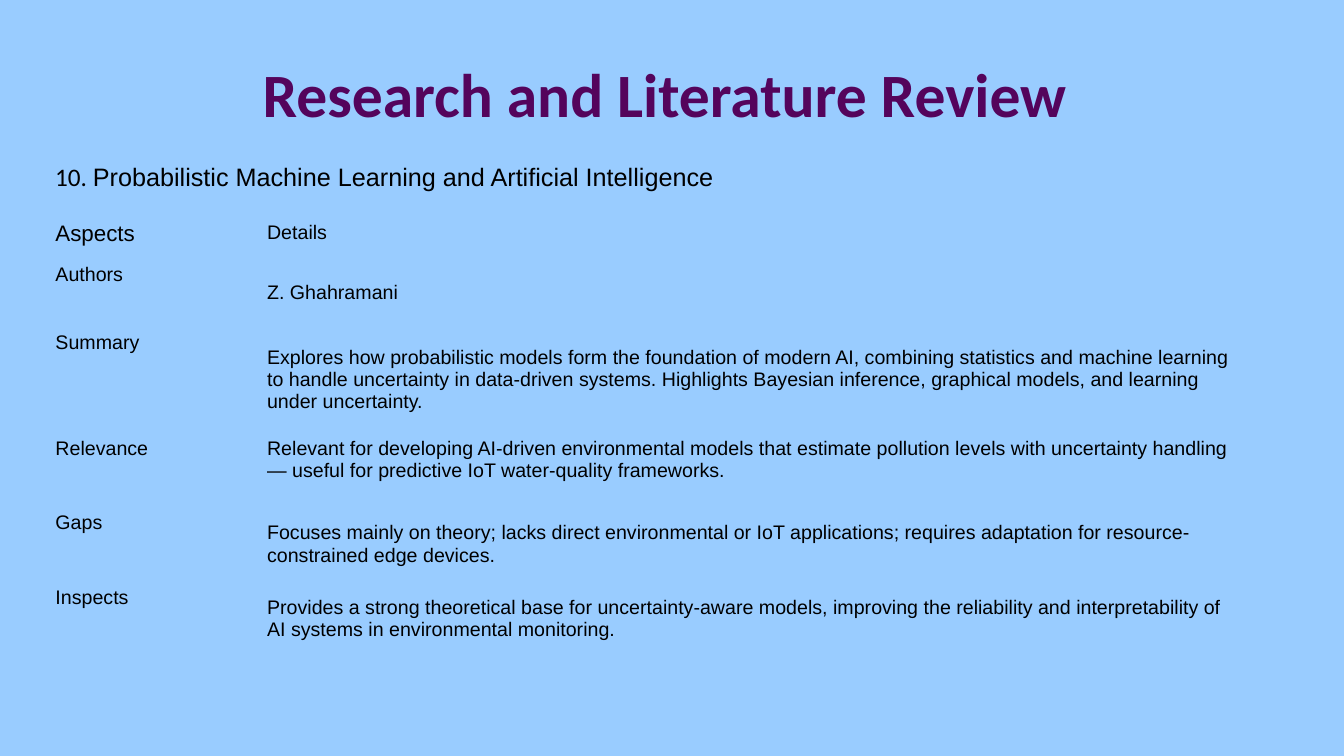
"""Build the literature review slide with its table of aspects and details."""
from dataclasses import dataclass

import pptx
import pptx.dml.color
import pptx.enum.text
import pptx.oxml.ns
import pptx.slide
import pptx.text.text
import pptx.util

Pt = pptx.util.Pt
Anchor = pptx.enum.text.MSO_ANCHOR
Align = pptx.enum.text.PP_ALIGN


@dataclass(frozen=True)
class Theme:
    back: str = "99CCFF"
    title: str = "54045C"
    ink: str = "000000"
    head: str = "Calibri"
    body: str = "Arial"
    big: float = 44
    lead: float = 18
    label: float = 16
    small: float = 14
    plain: str = "{2D5ABB26-0587-4C30-8999-92F81FD0307C}"


THEME = Theme()


@dataclass(frozen=True)
class Run:
    text: str
    size: float = THEME.small
    font: str = THEME.body
    color: str = THEME.ink
    bold: bool = False


@dataclass(frozen=True)
class Box:
    left: float
    top: float
    width: float
    height: float
    runs: tuple[Run, ...]
    align: Align = Align.LEFT
    anchor: Anchor = Anchor.TOP


@dataclass(frozen=True)
class Row:
    height: float
    aspect: Run
    detail: Run
    anchor: Anchor = Anchor.MIDDLE


BOXES = (
    Box(48, 21.6, 864, 90,
        (Run("Research and Literature Review ", THEME.big, THEME.head, THEME.title, True),),
        Align.CENTER, Anchor.MIDDLE),
    Box(32.4, 111.6, 666.72, 28.8,
        (Run("10. ", THEME.lead, THEME.head),
         Run("Probabilistic Machine Learning and Artificial Intelligence", THEME.lead))),
)
ROWS = (
    Row(30.24, Run("Aspects", THEME.label), Run("Details"), Anchor.TOP),
    Row(48.24, Run("Authors"), Run("Z. Ghahramani")),
    Row(75.6, Run("Summary"), Run(
        "Explores how probabilistic models form the foundation of modern AI, combining "
        "statistics and machine learning to handle uncertainty in data-driven systems. "
        "Highlights Bayesian inference, graphical models, and learning under uncertainty.")),
    Row(53.28, Run("Relevance"), Run(
        "Relevant for developing AI-driven environmental models that estimate pollution "
        "levels with uncertainty handling — useful for predictive IoT water-quality "
        "frameworks."), Anchor.TOP),
    Row(53.28, Run("Gaps"), Run(
        "Focuses mainly on theory; lacks direct environmental or IoT applications; "
        "requires adaptation for resource-constrained edge devices.")),
    Row(53.28, Run("Inspects"), Run(
        "Provides a strong theoretical base for uncertainty-aware models, improving the "
        "reliability and interpretability of AI systems in environmental monitoring.")),
)
COLS = (151.2, 712.8)


def rgb(code: str) -> pptx.dml.color.RGBColor:
    return pptx.dml.color.RGBColor.from_string(code)


def write(frame: pptx.text.text.TextFrame, runs: tuple[Run, ...], align: Align) -> None:
    line = frame.paragraphs[0]
    line.alignment = align
    for item in runs:
        run = line.add_run()
        run.text = item.text
        run.font.size = Pt(item.size)
        run.font.name = item.font
        run.font.bold = item.bold
        run.font.color.rgb = rgb(item.color)


def draw_box(slide: pptx.slide.Slide, box: Box) -> None:
    shape = slide.shapes.add_textbox(
        Pt(box.left), Pt(box.top), Pt(box.width), Pt(box.height))
    frame = shape.text_frame
    frame.word_wrap = True
    frame.vertical_anchor = box.anchor
    write(frame, box.runs, box.align)


def draw_table(slide: pptx.slide.Slide, rows: tuple[Row, ...]) -> None:
    shape = slide.shapes.add_table(
        len(rows), len(COLS), Pt(32.4), Pt(154.8), Pt(sum(COLS)),
        Pt(sum(row.height for row in rows)))
    table = shape.table
    table.first_row = table.horz_banding = False
    for style in shape.element.iter(pptx.oxml.ns.qn("a:tableStyleId")):
        style.text = THEME.plain
    for col, width in zip(table.columns, COLS):
        col.width = Pt(width)
    for line, row in zip(table.rows, rows):
        line.height = Pt(row.height)
        pairs = ((row.aspect, Anchor.TOP), (row.detail, row.anchor))
        for cell, (run, anchor) in zip(line.cells, pairs):
            cell.fill.background()
            cell.vertical_anchor = anchor
            write(cell.text_frame, (run,), Align.LEFT)


def main() -> None:
    deck = pptx.Presentation()
    deck.slide_width, deck.slide_height = Pt(960), Pt(540)
    slide = deck.slides.add_slide(deck.slide_layouts[6])
    fill = slide.background.fill
    fill.solid()
    fill.fore_color.rgb = rgb(THEME.back)
    for box in BOXES:
        draw_box(slide, box)
    draw_table(slide, ROWS)
    deck.save("out.pptx")


if __name__ == "__main__":
    main()
